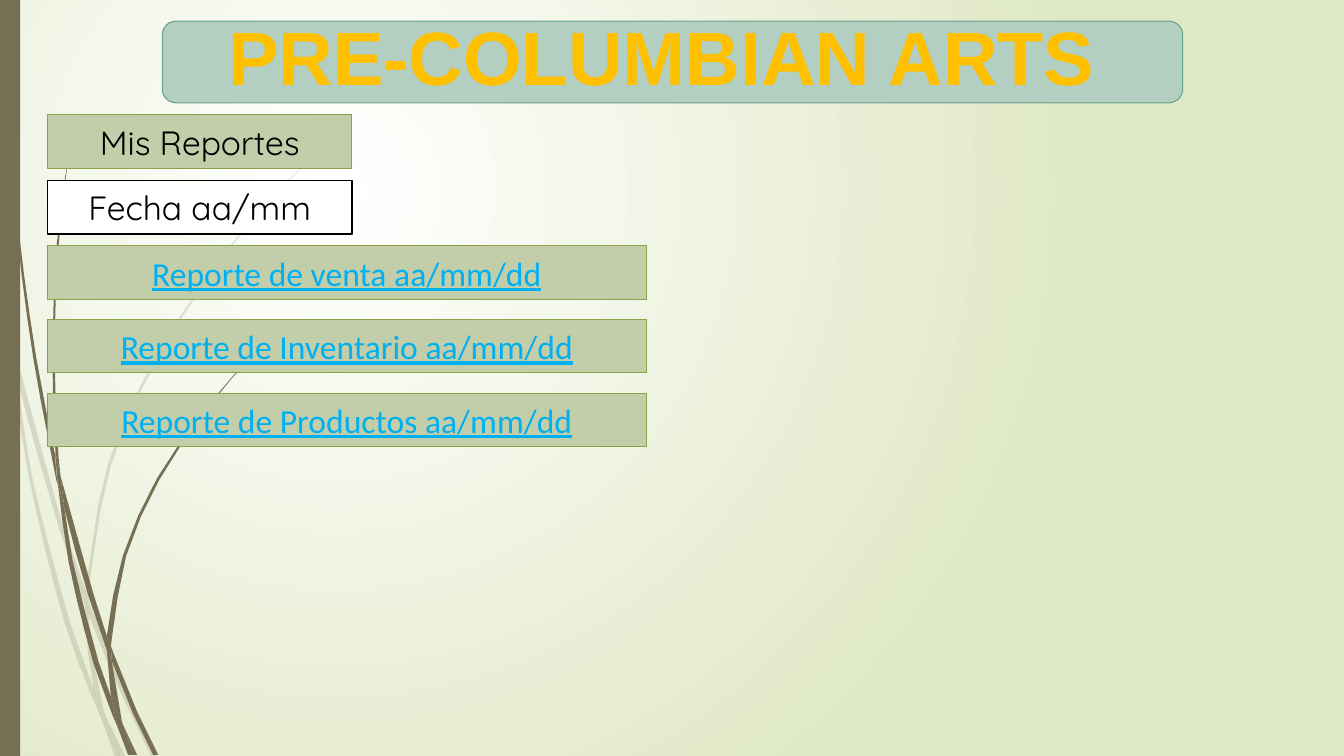
from dataclasses import dataclass
from math import dist

from lxml.etree import SubElement
from pptx import Presentation
from pptx.dml.color import RGBColor
from pptx.enum.shapes import MSO_SHAPE
from pptx.enum.text import MSO_ANCHOR, PP_ALIGN
from pptx.oxml.ns import qn
from pptx.util import Inches, Pt

COLORS = {
    "white": "FFFFFF", "black": "000000", "pale": "DFE8C4", "brown": "766F54",
    "sage": "C2CEA9", "olive": "8BA249", "mint": "B3CFC2", "teal": "65A48B",
    "gold": "FFC000", "link": "00B0F0",
}
Point = tuple[float, float]

FAINT_STRANDS = [
    "0.11,3.5 0.09,3.22 0,2.82 0,2.99 0.1,3.44",
    "0.58,5.22 0.84,5.99 0.85,5.86 0.62,5.2 0.14,3.45 0.17,3.76",
    "0.92,6.07 0.88,5.96 0.88,6.1 1.23,6.94 1.5,7.5 1.55,7.5 1.27,6.92",
    "1.19,7.5 1.24,7.5 1.05,7.11",
    "0.93,6.83 0.7,6.19 0.31,4.69 0.17,3.76 0.11,3.5 0.28,4.7 0.65,6.21 0.92,6.93 1.01,7.14 0.99,7.07",
    "0.84,5.99 0.87,6.46 0.93,6.83 0.96,6.92 1.05,7.11 1.03,7.06 0.91,6.46 0.88,6.1 0.88,6.08",
    "0.88,5.84 1.1,4.62 1.6,3.49 2.29,2.45 2.68,1.98 3.12,1.54 3.12,1.53 "
    "2.68,1.97 2.28,2.44 1.58,3.48 1.07,4.61 0.85,5.84 0.85,5.86 0.88,5.96",
    "1.01,7.14 1.14,7.5 1.19,7.5",
    "0.88,6.08 0.88,6.1 0.88,5.96 0.85,5.86 0.84,5.99",
    "0.96,6.92 0.93,6.83 0.99,7.07 1.01,7.14 1.19,7.5 1.05,7.11",
]
DARK_STRANDS = [
    "0.07,1.1 0.17,2.33 0.33,3.55 0.56,4.77 0.57,4.81 0.55,4.57 0.55,4.53 0.36,3.55 "
    "0.19,2.32 0.08,1.09 0.05,0.48 0.04,0 0.03,0 0.04,0.48",
    "0.88,5.92 1.06,6.45 1.06,6.33 1.06,6.31 0.93,5.9 0.6,4.72 0.64,5.05",
    "1.13,6.49 1.1,6.41 1.11,6.56 1.32,7.08 1.52,7.49 1.57,7.49 1.36,7.06",
    "1.1,6.91 0.98,6.57 0.72,5.56 0.64,5.05 0.57,4.77 0.68,5.57 0.93,6.59 1.11,7.08 1.17,7.22 1.16,7.17",
    "0.6,4.72 0.58,4.53 0.54,3.49 0.58,2.45 0.63,1.93 0.7,1.41 0.62,1.93 0.56,2.45 0.52,3.49 0.55,4.49",
    "1.33,7.49 1.36,7.49 1.22,7.19",
    "0.57,4.77 0.64,5.05 0.6,4.72 0.55,4.49 0.55,4.53",
    "1.11,6.33 1.25,5.52 1.58,4.76 2.05,4.06 2.31,3.74 2.61,3.44 2.6,3.44 "
    "2.31,3.73 2.04,4.05 1.56,4.74 1.22,5.51 1.06,6.31 1.1,6.41",
    "1.17,7.22 1.27,7.49 1.31,7.49",
    "1.06,6.45 1.1,6.91 1.16,7.06 1.22,7.19 1.21,7.16 1.11,6.56 1.09,6.51",
    "1.06,6.45 1.09,6.51 1.11,6.56 1.1,6.41 1.06,6.31 1.06,6.33",
    "1.16,7.06 1.1,6.91 1.16,7.17 1.17,7.22 1.3,7.49 1.33,7.49 1.22,7.19",
]


@dataclass
class Box:
    text: str
    top: float
    width: float
    font: str = "Quicksand"
    fill: str = "sage"
    line: str = "olive"
    weight: float = 0.75
    color: str = "black"
    underline: bool = False


BOXES = [
    Box("Mis Reportes", 1.14, 3.02),
    Box("Fecha aa/mm", 1.79, 3.02, fill="white", line="black", weight=1.25),
] + [
    Box(f"Reporte de {topic} aa/mm/dd", 2.44 + 0.73 * i, 5.94, "Calibri",
        color="link", underline=True)
    for i, topic in enumerate(["venta", "Inventario", "Productos"])
]


def rgb(name: str) -> RGBColor:
    return RGBColor.from_string(COLORS[name])


def unit(a: Point, b: Point) -> Point:
    size = dist(a, b)
    return (b[0] - a[0]) / size, (b[1] - a[1]) / size


def tangent(before: Point, knot: Point, after: Point, chord: Point) -> Point:
    u, v = unit(before, knot), unit(knot, after)
    return unit(before, after) if u[0] * v[0] + u[1] * v[1] > 0.8 else chord


def smooth(knots: list[Point], step: float = 0.42) -> list[Point]:
    points = []
    for i, b in enumerate(knots):
        a, c, d = knots[i - 1], knots[(i + 1) % len(knots)], knots[(i + 2) % len(knots)]
        reach, chord = dist(b, c) / 3, unit(b, c)
        leave, arrive = tangent(a, b, c, chord), tangent(b, c, d, chord)
        pieces = max(1, round(dist(b, c) / step))
        for k in range(pieces):
            t = k / pieces
            w = (1 - t) ** 3, 3 * t * (1 - t) ** 2, 3 * t * t * (1 - t), t ** 3
            points.append(tuple(
                w[0] * b[n] + w[1] * (b[n] + reach * leave[n])
                + w[2] * (c[n] - reach * arrive[n]) + w[3] * c[n]
                for n in (0, 1)))
    return points


def add_strands(s, strands: list[str], opacity: int = 100) -> None:
    group = s.shapes.add_group_shape()
    for strand in strands:
        knots = [tuple(map(float, pair.split(","))) for pair in strand.split()]
        points = [(Inches(x), Inches(y)) for x, y in smooth(knots)]
        builder = group.shapes.build_freeform(*points[0])
        builder.add_line_segments(points[1:], close=True)
        sp = builder.convert_to_shape()
        paint(sp, "brown")
        if opacity < 100:
            color = sp._element.spPr.find(f"{qn('a:solidFill')}/{qn('a:srgbClr')}")
            SubElement(color, qn("a:alpha"), val=str(opacity * 1000))


def paint(sp, fill: str, line: str | None = None, weight: float = 0.75) -> None:
    sp.shadow.inherit = False
    sp.fill.solid()
    sp.fill.fore_color.rgb = rgb(fill)
    if line:
        sp.line.color.rgb = rgb(line)
        sp.line.width = Pt(weight)
    else:
        sp.line.fill.background()


def add_panel(s, kind, left: float, top: float, width: float, height: float, **look):
    sp = s.shapes.add_shape(kind, Inches(left), Inches(top), Inches(width), Inches(height))
    paint(sp, **look)
    return sp


def write(tf, text: str, *, font: str, size: float, color: str, bold: bool = False,
          underline: bool = False, anchor=MSO_ANCHOR.MIDDLE, spacing: float = 1.0) -> None:
    tf.word_wrap = True
    tf.vertical_anchor = anchor
    p = tf.paragraphs[0]
    p.alignment = PP_ALIGN.CENTER
    p.line_spacing = spacing
    r = p.add_run()
    r.text = text
    r.font.name, r.font.size = font, Pt(size)
    r.font.bold, r.font.underline = bold, underline
    r.font.color.rgb = rgb(color)


def set_background(s) -> None:
    fill = s.background.fill
    fill.gradient()
    for stop, position, color in zip(fill.gradient_stops, (0, 1), ("white", "pale")):
        stop.position = position
        stop.color.rgb = rgb(color)
    grad = s._element.find(f".//{qn('a:gradFill')}")
    grad.remove(grad.find(qn("a:lin")))
    circle = SubElement(grad, qn("a:path"), path="circle")
    SubElement(circle, qn("a:fillToRect"), l="50000", t="50000", r="100000", b="100000")


def add_title(s, text: str) -> None:
    title = s.shapes.title
    title.left, title.top = Inches(1.82), Inches(0.33)
    title.width, title.height = Inches(9.69), Inches(0.68)
    s.shapes._spTree.append(title._element)
    tf = title.text_frame
    tf.margin_bottom = 0
    write(tf, text, font="Arial", size=54, color="gold", bold=True,
          anchor=MSO_ANCHOR.BOTTOM, spacing=0.9)


def main() -> None:
    prs = Presentation()
    prs.slide_width, prs.slide_height = Inches(13.33), Inches(7.5)
    s = prs.slides.add_slide(prs.slide_layouts[5])
    set_background(s)
    add_strands(s, FAINT_STRANDS, opacity=20)
    add_strands(s, DARK_STRANDS)
    add_panel(s, MSO_SHAPE.RECTANGLE, 0, 0, 0.2, 7.5, fill="brown")
    for box in BOXES:
        sp = add_panel(s, MSO_SHAPE.RECTANGLE, 0.47, box.top, box.width, 0.53,
                       fill=box.fill, line=box.line, weight=box.weight)
        write(sp.text_frame, box.text, font=box.font, size=24, color=box.color,
              underline=box.underline)
    add_panel(s, MSO_SHAPE.ROUNDED_RECTANGLE, 1.61, 0.21, 10.12, 0.81, fill="mint", line="teal")
    add_title(s, "PRE-COLUMBIAN ARTS ")
    prs.save("out.pptx")


if __name__ == "__main__":
    main()
